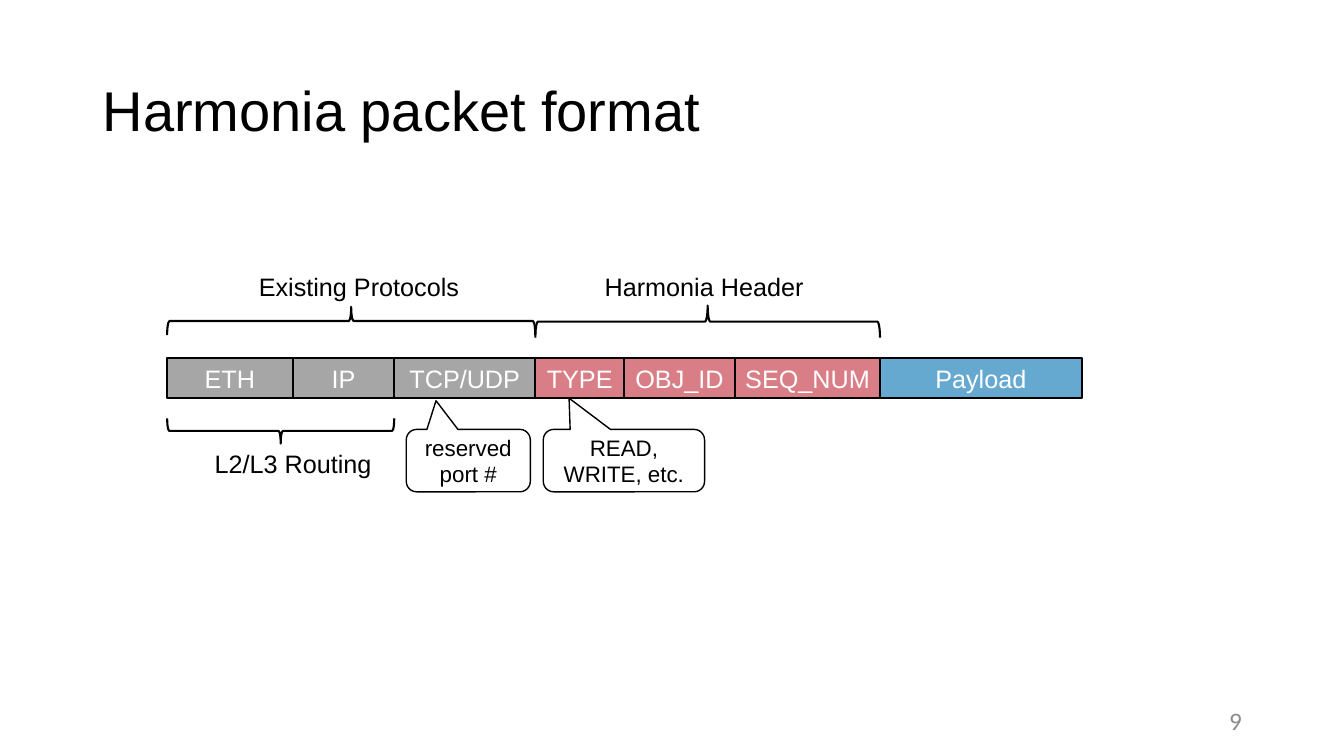
from dataclasses import dataclass
from itertools import accumulate

import pptx
import pptx.dml.color
import pptx.enum.shapes
import pptx.enum.text
import pptx.oxml.ns
import pptx.shapes.autoshape
import pptx.slide
import pptx.text.text
import pptx.util
from lxml import etree

Pt = pptx.util.Pt
RGBColor = pptx.dml.color.RGBColor
ShapeType = pptx.enum.shapes.MSO_SHAPE
Align = pptx.enum.text.PP_ALIGN
Anchor = pptx.enum.text.MSO_ANCHOR

BLACK = RGBColor(0x00, 0x00, 0x00)
WHITE = RGBColor(0xFF, 0xFF, 0xFF)
GRAY = RGBColor(0xA6, 0xA6, 0xA6)
RED = RGBColor(0xCD, 0x53, 0x60)
BLUE = RGBColor(0x32, 0x8C, 0xC1)
NUMBER_GRAY = RGBColor(0x8C, 0x8C, 0x8C)

PACKET_LEFT, PACKET_TOP, PACKET_HEIGHT = 119.4, 255.6, 28.8
CALLOUT_TOP, CALLOUT_HEIGHT = 306.7, 44.6


@dataclass
class Field:
    name: str
    width: float
    color: RGBColor
    opacity: int = 75


@dataclass
class Brace:
    first_edge: int
    last_edge: int
    top: float
    depth: float
    rotation: int


@dataclass
class Label:
    text: str
    left: float
    top: float
    width: float


@dataclass
class Callout:
    text: str
    left: float
    width: float
    tip: tuple[float, float]


FIELDS = [
    Field("ETH", 89.6, GRAY, 100),
    Field("IP", 72.6, GRAY, 100),
    Field("TCP/UDP", 100.8, GRAY, 100),
    Field("TYPE", 63.4, RED),
    Field("OBJ_ID", 79.2, RED),
    Field("SEQ_NUM", 103.6, RED),
    Field("Payload", 144, BLUE),
]
EDGES = list(accumulate((field.width for field in FIELDS), initial=PACKET_LEFT))

BRACES = [
    Brace(0, 3, 219.2, 20.2, 270),
    Brace(3, 6, 218.2, 23, 270),
    Brace(0, 2, 298.8, 18, 90),
]
LABELS = [
    Label("Existing Protocols", 177.8, 190.1, 169.2),
    Label("Harmonia Header", 424.8, 190.1, 157.7),
    Label("L2/L3 Routing", 146.2, 316.8, 131.8),
]
CALLOUTS = [
    Callout("READ, WRITE, etc.", 388.1, 115.2, (-0.34, -1)),
    Callout("reserved\nport #", 290.2, 88.6, (-0.26, -0.96)),
]


def write_text(frame: pptx.text.text.TextFrame, text: str, *, size: float = 18,
               color: RGBColor = BLACK, font: str = "Arial",
               align: Align = Align.LEFT, anchor: Anchor = Anchor.TOP,
               line_spacing: float = 1.0) -> None:
    frame.text = text
    frame.word_wrap = True
    frame.auto_size = pptx.enum.text.MSO_AUTO_SIZE.NONE
    frame.vertical_anchor = anchor
    for paragraph in frame.paragraphs:
        paragraph.alignment = align
        paragraph.line_spacing = line_spacing
        paragraph.font.name = font
        paragraph.font.size = Pt(size)
        paragraph.font.color.rgb = color


def add_outlined(slide: pptx.slide.Slide, kind: ShapeType, left: float, top: float,
                 width: float, height: float, *, fill: RGBColor | None = None,
                 opacity: int = 100, line: float = 1.5) -> pptx.shapes.autoshape.Shape:
    shape = slide.shapes.add_shape(kind, Pt(left), Pt(top), Pt(width), Pt(height))
    shape.shadow.inherit = False
    shape.line.color.rgb = BLACK
    shape.line.width = Pt(line)
    if fill is None:
        shape.fill.background()
        return shape
    shape.fill.solid()
    shape.fill.fore_color.rgb = fill
    if opacity < 100:
        color = shape.fill._xPr.find(".//" + pptx.oxml.ns.qn("a:srgbClr"))
        alpha = etree.SubElement(color, pptx.oxml.ns.qn("a:alpha"))
        alpha.set("val", str(opacity * 1000))
    return shape


def add_field(slide: pptx.slide.Slide, field: Field, left: float) -> None:
    shape = add_outlined(slide, ShapeType.RECTANGLE, left, PACKET_TOP, field.width,
                         PACKET_HEIGHT, fill=field.color, opacity=field.opacity)
    shape.text_frame.margin_left = shape.text_frame.margin_right = 0
    write_text(shape.text_frame, field.name, color=WHITE,
               align=Align.CENTER, anchor=Anchor.MIDDLE)


def add_brace(slide: pptx.slide.Slide, brace: Brace) -> None:
    start, end = EDGES[brace.first_edge], EDGES[brace.last_edge]
    span = end - start
    # The upright frame shares its centre with the rotated brace
    left = (start + end - brace.depth) / 2
    top = brace.top + (brace.depth - span) / 2
    shape = add_outlined(slide, ShapeType.RIGHT_BRACE, left, top, brace.depth, span)
    shape.rotation = brace.rotation


def add_label(slide: pptx.slide.Slide, label: Label) -> None:
    box = slide.shapes.add_textbox(Pt(label.left), Pt(label.top), Pt(label.width), Pt(29))
    write_text(box.text_frame, label.text)


def add_callout(slide: pptx.slide.Slide, callout: Callout) -> None:
    shape = add_outlined(slide, ShapeType.ROUNDED_RECTANGULAR_CALLOUT, callout.left,
                         CALLOUT_TOP, callout.width, CALLOUT_HEIGHT, fill=WHITE, line=1)
    shape.adjustments[0], shape.adjustments[1] = callout.tip
    write_text(shape.text_frame, callout.text, size=16,
               align=Align.CENTER, anchor=Anchor.MIDDLE)


def main() -> None:
    presentation = pptx.Presentation()
    presentation.slide_width, presentation.slide_height = Pt(960), Pt(540)
    slide = presentation.slides.add_slide(presentation.slide_layouts[5])

    # Title
    title = slide.shapes.title
    title.left, title.top, title.width, title.height = Pt(66.2), Pt(28.8), Pt(828), Pt(104.4)
    write_text(title.text_frame, "Harmonia packet format", size=40,
               anchor=Anchor.MIDDLE, line_spacing=0.9)

    # Packet fields
    for field, left in zip(FIELDS, EDGES):
        add_field(slide, field, left)

    # Annotations
    for brace in BRACES:
        add_brace(slide, brace)
    for label in LABELS:
        add_label(slide, label)
    for callout in CALLOUTS:
        add_callout(slide, callout)

    # Slide number
    number = slide.shapes.add_textbox(Pt(678.2), Pt(504), Pt(216), Pt(21.6))
    write_text(number.text_frame, "9", color=NUMBER_GRAY, font="Calibri",
               align=Align.RIGHT, anchor=Anchor.MIDDLE)

    presentation.save("out.pptx")


if __name__ == "__main__":
    main()
